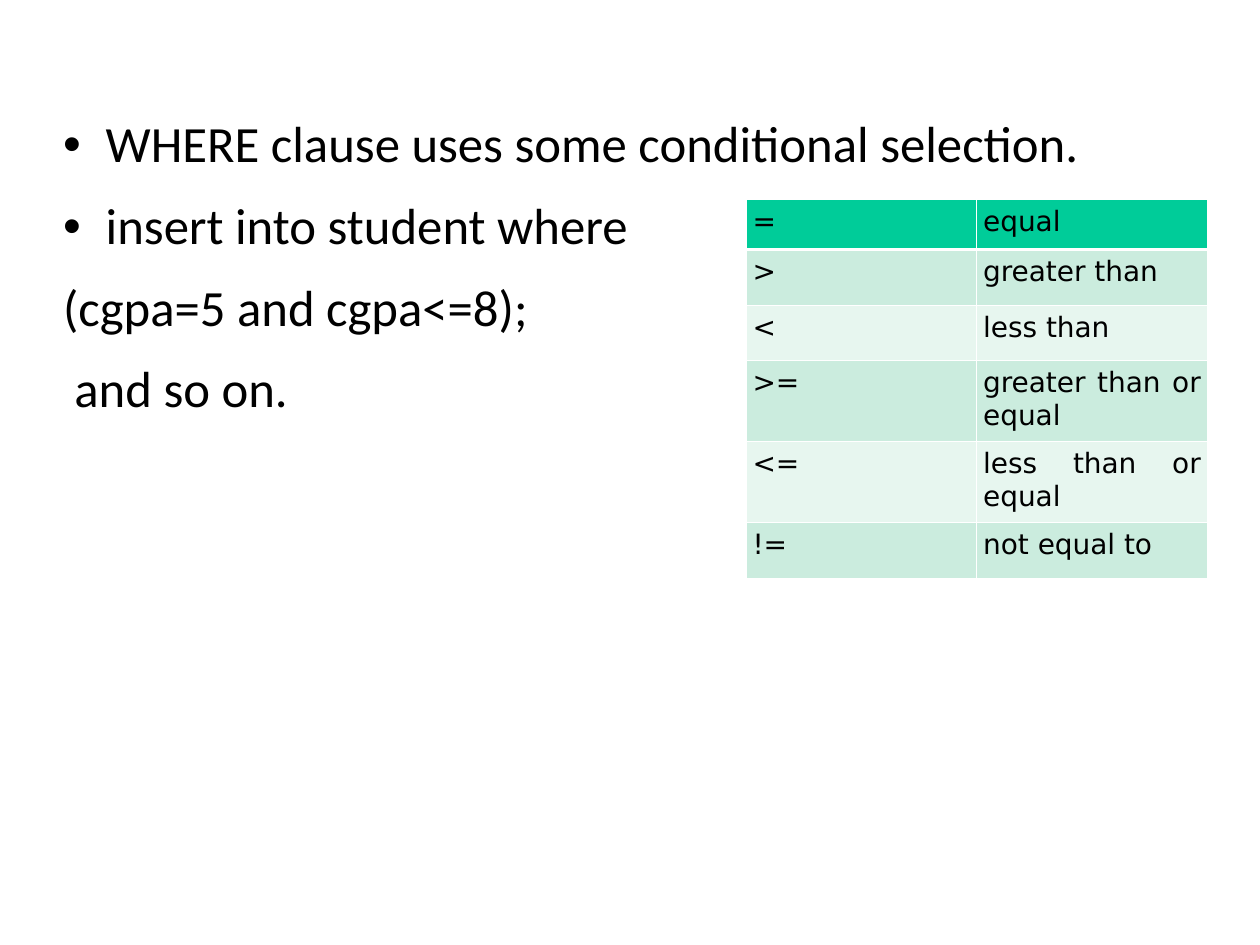
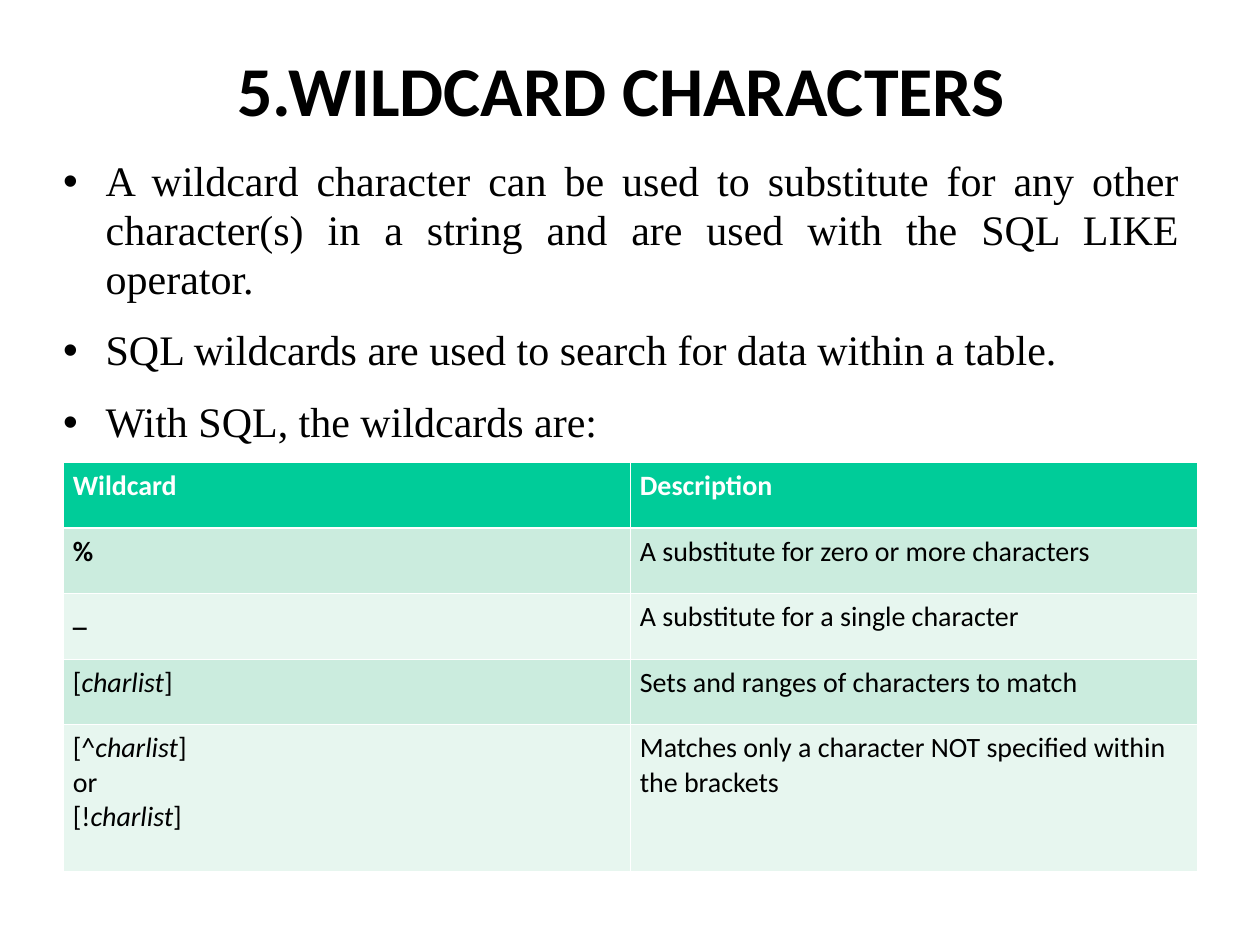
import pptx
import pptx.dml.color
import pptx.enum.text
import pptx.oxml.ns
import pptx.util
from lxml import etree

Cm = pptx.util.Cm
Pt = pptx.util.Pt
ALIGN = pptx.enum.text.PP_ALIGN
ANCHOR = pptx.enum.text.MSO_ANCHOR

# Shared look
BLACK, WHITE = "000000", "FFFFFF"
HEADER_FILL = "00CC99"
BAND_FILLS = ("CBECDE", "E7F6EF")
LEFT, TEXT_WIDTH = 1.27, 22.5
HANGING = 0.86
LINE_SPACING = 0.97
THIN, THICK = 0.45, 1.47


def rgb(color):
    return pptx.dml.color.RGBColor.from_string(color)


def style_font(font, name, size, color=BLACK, bold=False):
    font.name, font.size, font.bold = name, Pt(size), bold
    font.color.rgb = rgb(color)


def place(shape, left, top, width, height):
    shape.left, shape.top = Cm(left), Cm(top)
    shape.width, shape.height = Cm(width), Cm(height)


def set_frame(frame, anchor, margins):
    frame.word_wrap = True
    frame.auto_size = pptx.enum.text.MSO_AUTO_SIZE.NONE
    frame.vertical_anchor = anchor
    (frame.margin_left, frame.margin_top,
     frame.margin_right, frame.margin_bottom) = map(Cm, margins)


def set_title(page, text):
    title = page.shapes.title
    place(title, LEFT, 0.76, TEXT_WIDTH, 2.21)
    set_frame(title.text_frame, ANCHOR.MIDDLE, (0.23, 0.13, 0.23, 0.13))
    para = title.text_frame.paragraphs[0]
    para.text = text
    para.alignment = ALIGN.CENTER
    para.line_spacing = LINE_SPACING
    style_font(para.font, "Calibri", 40, bold=True)


def set_list(page, top, height, items, font_name, size, align=ALIGN.LEFT):
    """Each item is (text, bulleted, extra first-line offset in cm)."""
    body = page.placeholders[1]
    place(body, LEFT, top, TEXT_WIDTH, height)
    frame = body.text_frame
    set_frame(frame, ANCHOR.TOP, (0, 0.43, 0, 0))
    for index, (text, bulleted, offset) in enumerate(items):
        para = frame.add_paragraph() if index else frame.paragraphs[0]
        para.text = text
        properties = para._p.get_or_add_pPr()
        properties.set("marL", str(Cm(HANGING)))
        properties.set("indent", str(Cm(offset - HANGING)))
        if not bulleted:
            etree.SubElement(properties, pptx.oxml.ns.qn("a:buNone"))
        para.alignment = align
        para.line_spacing = LINE_SPACING
        para.space_before, para.space_after = Pt(0), Pt(12.9)
        style_font(para.font, font_name, size)


def set_borders(cell, top, bottom):
    properties = cell._tc.get_or_add_tcPr()
    for side, width in (("L", THIN), ("R", THIN), ("T", top), ("B", bottom)):
        line = etree.SubElement(properties, pptx.oxml.ns.qn("a:ln" + side),
                                w=str(Pt(width)))
        fill = etree.SubElement(line, pptx.oxml.ns.qn("a:solidFill"))
        etree.SubElement(fill, pptx.oxml.ns.qn("a:srgbClr"), val=WHITE)


def write_spans(para, text):
    """Text between asterisks is italic; a newline is a line break."""
    for part, piece in enumerate(text.split("*")):
        for number, line in enumerate(piece.split("\n")):
            if number:
                para.add_line_break()
            if line:
                span = para.add_run()
                span.text = line
                if part % 2:
                    span.font.italic = True


def add_grid(page, left, top, column_width, heights, rows, font_name,
             side_margin, align=ALIGN.LEFT, header_color=BLACK, bold_cells=()):
    columns = len(rows[0])
    table = page.shapes.add_table(
        len(rows), columns, Cm(left), Cm(top),
        Cm(column_width * columns), Cm(sum(heights))).table
    table.first_row = table.horz_banding = False
    for column in table.columns:
        column.width = Cm(column_width)
    for r, (height, texts) in enumerate(zip(heights, rows)):
        table.rows[r].height = Cm(height)
        for c, text in enumerate(texts):
            cell = table.cell(r, c)
            cell.margin_left = cell.margin_right = Cm(side_margin)
            cell.margin_top = cell.margin_bottom = Cm(0.13)
            set_borders(cell, THICK if r == 1 else THIN,
                        THICK if r == 0 else THIN)
            cell.fill.solid()
            cell.fill.fore_color.rgb = rgb(
                BAND_FILLS[(r - 1) % 2] if r else HEADER_FILL)
            para = cell.text_frame.paragraphs[0]
            para.alignment = align
            write_spans(para, text)
            style_font(para.font, font_name, 16, BLACK if r else header_color,
                       (r, c) in bold_cells)


def build_where_page(page):
    title = page.shapes.title
    title._element.getparent().remove(title._element)
    set_list(page, 1.9, 14.78, [
        ("WHERE clause uses some conditional selection.", True, 0),
        ("insert into student where", True, 0),
        ("(cgpa=5 and cgpa<=8);", False, 0),
        ("and so on.", False, 0.23),
    ], "Calibri", 29)
    # Comparison operators
    add_grid(page, 15.04, 4.02, 4.65, [1.01, 1.12, 1.12, 1.63, 1.63, 1.12], [
        ("=", "equal"),
        (">", "greater than"),
        ("<", "less than"),
        (">=", "greater than or equal"),
        ("<=", "less than or equal"),
        ("!=", "not equal to"),
    ], "DejaVu Sans", 0.13, ALIGN.JUSTIFY)


def build_wildcard_page(page):
    set_title(page, "5.WILDCARD CHARACTERS")
    set_list(page, 2.74, 13.94, [
        ("A wildcard character can be used to substitute for any other "
         "character(s) in a string and are used with the SQL LIKE operator.",
         True, 0),
        ("SQL wildcards are used to search for data within a table.", True, 0),
        ("With SQL, the wildcards are:", True, 0),
    ], "Times New Roman", 24, ALIGN.JUSTIFY)
    # Wildcards and their meaning
    add_grid(page, LEFT, 9.33, 11.43, [1.32] * 4 + [2.95], [
        ("Wildcard", "Description"),
        ("%", "A substitute for zero or more characters"),
        ("_", "A substitute for a single character"),
        ("[*charlist*]", "Sets and ranges of characters to match"),
        ("[^*charlist*]\nor\n[!*charlist*]",
         "Matches only a character NOT specified within the brackets"),
    ], "Calibri", 0.2, header_color=WHITE,
        bold_cells={(0, 0), (0, 1), (1, 0), (2, 0)})


def main():
    deck = pptx.Presentation()
    deck.slide_width, deck.slide_height = Cm(25.4), Cm(19.05)
    layout = deck.slide_layouts[1]
    for build in (build_where_page, build_wildcard_page):
        build(deck.slides.add_slide(layout))
    deck.save("out.pptx")


if __name__ == "__main__":
    main()
